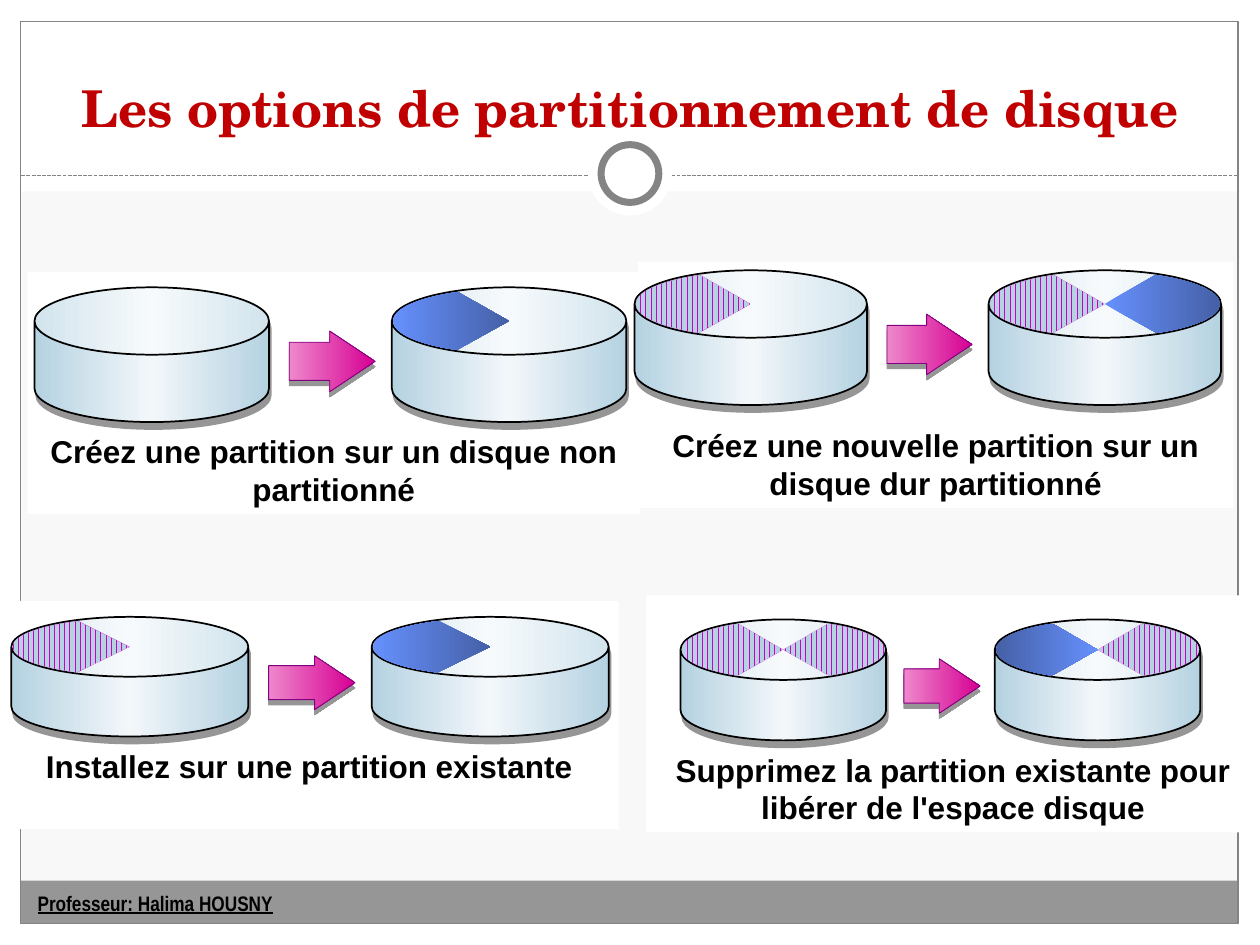
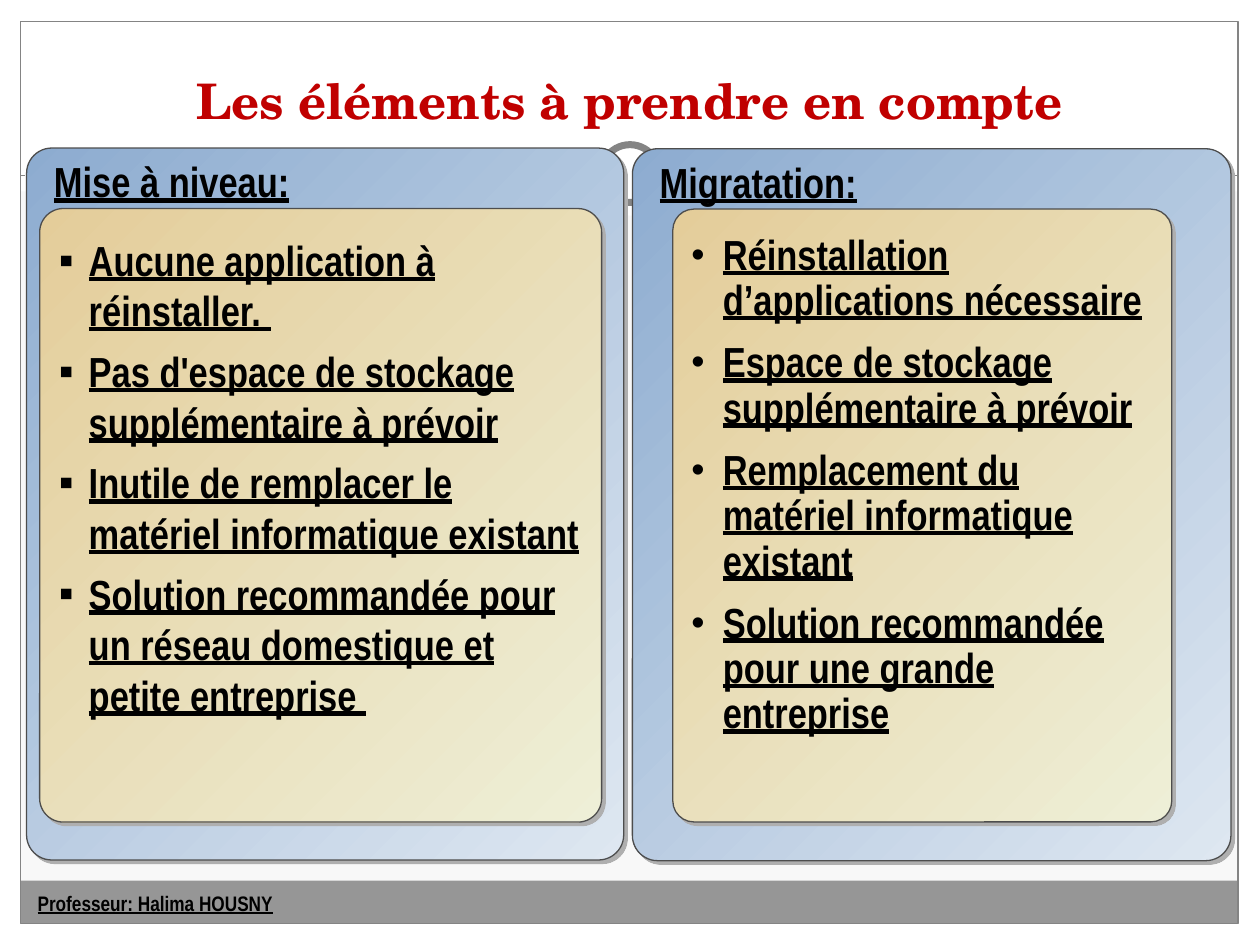
from dataclasses import dataclass
from typing import Any

from lxml import etree
from pptx import Presentation
from pptx import util as u
from pptx.dml import color
from pptx.enum import dml, shapes, text
from pptx.oxml import ns

KIND = shapes.MSO_SHAPE
Stops = tuple[tuple[int, str], ...]


@dataclass(frozen=True)
class Theme:
    page: str = "F8F8F8"
    white: str = "FFFFFF"
    black: str = "000000"
    rule: str = "848484"
    band: str = "969696"
    title: str = "C00000"
    arrow_edge: str = "800080"
    card_edge: str = "4D4D4D"
    card_shade: str = "AFAFAF"
    stripe: str = "B5D2E1"
    stripe_back: str = "CC00CC"
    disk: Stops = ((0, "B5D2E1"), (50, "F3F7FA"), (100, "B5D2E1"))
    arrow: Stops = ((0, "EE88CB"), (100, "D60093"))
    to_dark: Stops = ((0, "6590FD"), (100, "4560A6"))
    to_light: Stops = ((0, "4560A6"), (100, "6590FD"))
    outer_card: Stops = ((0, "8DACD0"), (100, "DEE7F1"))
    inner_card: Stops = ((0, "E4CD9A"), (100, "EEEFD7"))
    title_font: str = "TeX Gyre Schola"
    caption_font: str = "Arial"
    list_font: str = "Arial Narrow"
    caption_size: float = 18
    list_size: float = 24
    footer_size: float = 12


THEME = Theme()


@dataclass(frozen=True)
class Box:
    left: float
    top: float
    width: float
    height: float

    def emu(self) -> tuple[int, ...]:
        return tuple(u.Pt(v) for v in (self.left, self.top, self.width, self.height))


@dataclass(frozen=True)
class Shade:
    tint: str
    distance: float
    angle: int


@dataclass(frozen=True)
class Wedge:
    disk: int
    side: int
    stops: Stops | None = None


@dataclass(frozen=True)
class Option:
    caption: str
    panel: Box
    before: Box
    after_left: float
    wedges: tuple[Wedge, ...]
    bottom: float = 3.6


@dataclass(frozen=True)
class Card:
    heading: str
    outer: Box
    inner: Box
    points: tuple[str, ...]
    bullet: str
    bullet_size: int
    indent: float
    spacing: dict[str, Any]


DISK_SHADE = Shade(THEME.band, 4.1, 76)
ARROW_SHADE = Shade(THEME.band, 3, 90)
CARD_SHADE = Shade(THEME.card_shade, 2.8, 45)
BOLD = {"bold": True}
LISTED = {"bold": True, "underline": True}
RIM = ((0.45, 1), (0.78, 0.8), (1, 0.43), (1, 0), (1, -0.43), (0.78, -0.8), (0.44, -1))

OPTIONS = (
    Option("Créez une partition sur un disque non partitionné",
           Box(15.8, 155.5, 350, 138.2), Box(19.7, 164.2, 134, 77), 223.9,
           (Wedge(1, -1, THEME.to_dark),)),
    Option("Créez une nouvelle partition sur un disque dur partitionné",
           Box(364.5, 149.8, 340.4, 140.4), Box(362.6, 154.5, 132.8, 77), 564.9,
           (Wedge(1, -1), Wedge(0, -1), Wedge(1, 1, THEME.to_dark))),
    Option("Installez sur une partition existante",
           Box(0, 343.4, 353.5, 130.3), Box(6.5, 352.5, 135.4, 68.4), 212.4,
           (Wedge(1, -1, THEME.to_dark), Wedge(0, -1)), 25),
    Option("Supprimez la partition existante pour libérer de l'espace disque",
           Box(369.2, 340.2, 350.8, 135.4), Box(388.9, 354, 117.4, 69.1), 568.5,
           (Wedge(1, -1, THEME.to_light), Wedge(1, 1), Wedge(0, 1), Wedge(0, -1))),
)

CARDS = (
    Card("Mise à niveau:", Box(15.2, 84.6, 341.2, 406.8), Box(22.7, 119.2, 321.1, 350.6),
         ("Aucune application à réinstaller. ",
          "Pas d'espace de stockage supplémentaire à prévoir",
          "Inutile de remplacer le matériel informatique existant",
          "Solution recommandée pour un réseau domestique et petite entreprise "),
         "▪", 100, 17, {"space_after": u.Pt(6)}),
    Card("Migratation:", Box(361.4, 85, 342, 406.8), Box(384.5, 119.5, 285.1, 350.2),
         ("Réinstallation d’applications nécessaire",
          "Espace de stockage supplémentaire à prévoir",
          "Remplacement du matériel informatique existant",
          "Solution recommandée pour une grande entreprise"),
         "•", 90, 18, {"line_spacing": 0.9, "space_after": u.Pt(9.6)}),
)


def rgb(value: str) -> color.RGBColor:
    return color.RGBColor.from_string(value)


def assign(target: Any, values: dict[str, Any]) -> None:
    for name, value in values.items():
        setattr(target, name, value)


def child(parent: Any, tag: str, **attributes: Any) -> Any:
    return etree.SubElement(parent, ns.qn(tag), {k: str(v) for k, v in attributes.items()})


def paint(shape: Any, fill: str | Stops | None, angle: int = 0) -> None:
    if fill is None:
        shape.fill.background()
    elif isinstance(fill, str):
        shape.fill.solid()
        shape.fill.fore_color.rgb = rgb(fill)
    else:
        shape.fill.gradient()
        shape.fill.gradient_angle = -angle % 360
        stops = shape.element.spPr.find(".//" + ns.qn("a:gsLst"))
        for stop in list(stops):
            stops.remove(stop)
        for position, tint in fill:
            child(child(stops, "a:gs", pos=position * 1000), "a:srgbClr", val=tint)


def outline(shape: Any, tint: str | None, width: float = 0.75) -> None:
    if tint is None:
        shape.line.fill.background()
    else:
        shape.line.color.rgb = rgb(tint)
        shape.line.width = u.Pt(width)


def cast(shape: Any, shade: Shade) -> None:
    effects = shape.element.spPr.find(ns.qn("a:effectLst"))
    shadow = child(effects, "a:outerShdw", dist=u.Pt(shade.distance),
                   dir=shade.angle * 60000, algn="ctr", rotWithShape=0)
    child(shadow, "a:srgbClr", val=shade.tint)


def draw(target: Any, kind: Any, box: Box, fill: str | Stops | None, edge: str | None = None,
         width: float = 0.75, angle: int = 0, shade: Shade | None = None,
         adjust: tuple[float, ...] = ()) -> Any:
    shape = target.add_shape(kind, *box.emu())
    shape.shadow.inherit = False
    for index, value in enumerate(adjust):
        shape.adjustments[index] = value
    paint(shape, fill, angle)
    outline(shape, edge, width)
    if shade:
        cast(shape, shade)
    return shape


def write(paragraph: Any, words: str, font: str, size: float, tint: str,
          style: dict[str, Any], layout: dict[str, Any]) -> None:
    run = paragraph.add_run()
    run.text = words
    assign(run.font, {"name": font, "size": u.Pt(size), **style})
    run.font.color.rgb = rgb(tint)
    assign(paragraph, layout)


def add_frame(slide: Any) -> None:
    layout = slide.slide_layout
    for spare in list(layout.placeholders):
        if spare.placeholder_format.type != shapes.PP_PLACEHOLDER.TITLE:
            spare.element.getparent().remove(spare.element)
    paint(layout.background, THEME.page)

    target = slide.shapes
    parts = [draw(target, KIND.RECTANGLE, Box(*edges), THEME.white) for edges in (
        (0, 527.8, 720, 12.2), (0, 0, 720, 109.4), (0, 0, 12, 540), (707.8, 0, 12.2, 540))]
    parts.append(draw(target, KIND.RECTANGLE, Box(11.8, 503.3, 695.5, 24.5), THEME.band))
    parts.append(draw(target, KIND.RECTANGLE, Box(11.9, 12.2, 695.5, 515.5), None, THEME.rule))

    divider = target.add_connector(shapes.MSO_CONNECTOR.STRAIGHT, u.Pt(12.2), u.Pt(100.5),
                                   u.Pt(707.8), u.Pt(100.5))
    outline(divider, THEME.rule)
    divider.line.dash_style = dml.MSO_LINE.SQUARE_DOT
    child(divider.element.spPr, "a:effectLst")
    parts.append(divider)

    parts.append(draw(target, KIND.OVAL, Box(336, 75.2, 48, 48), THEME.white))
    parts.append(draw(target, KIND.OVAL, Box(343.5, 82.7, 33, 33), THEME.white, THEME.rule, 4))

    teacher = target.add_textbox(*Box(14.4, 505.4, 154, 22.3).emu())
    teacher.text_frame.word_wrap = True
    write(teacher.text_frame.paragraphs[0], "Professeur: Halima HOUSNY", THEME.list_font,
          THEME.footer_size, THEME.black, LISTED, {})
    parts.append(teacher)
    for part in parts:
        layout.shapes.element.append(part.element)


def add_title(slide: Any, words: str, box: Box, size: float) -> None:
    title = slide.shapes.title
    assign(title, dict(zip(("left", "top", "width", "height"), box.emu())))
    assign(title.text_frame, {"vertical_anchor": text.MSO_ANCHOR.BOTTOM, "word_wrap": True,
                              "auto_size": text.MSO_AUTO_SIZE.NONE})
    write(title.text_frame.paragraphs[0], words, THEME.title_font, size, THEME.title, BOLD,
          {"alignment": text.PP_ALIGN.CENTER})


def curve(sector: Any) -> None:
    outline_path = sector.element.spPr.find(".//" + ns.qn("a:path"))
    straights = outline_path.findall(ns.qn("a:lnTo"))
    for first in (0, 3):
        bend = etree.Element(ns.qn("a:cubicBezTo"))
        straights[first].addprevious(bend)
        for straight in straights[first:first + 3]:
            bend.append(straight[0])
            outline_path.remove(straight)


def add_wedge(target: Any, disk: Box, wedge: Wedge) -> None:
    center_x, center_y = disk.left + disk.width / 2, disk.top + disk.height / 4
    reach, rise = wedge.side * 0.495 * disk.width, 0.215 * disk.height
    rim = [(u.Pt(center_x + reach * x), u.Pt(center_y + rise * y)) for x, y in RIM]
    builder = target.build_freeform(*rim[0])
    builder.add_line_segments([*rim[1:], (u.Pt(center_x), u.Pt(center_y))], close=True)
    sector = builder.convert_to_shape()
    curve(sector)
    sector.shadow.inherit = False
    outline(sector, None)
    if wedge.stops:
        paint(sector, wedge.stops)
    else:
        sector.fill.patterned()
        sector.fill.pattern = dml.MSO_PATTERN.DARK_VERTICAL
        sector.fill.fore_color.rgb = rgb(THEME.stripe)
        sector.fill.back_color.rgb = rgb(THEME.stripe_back)


def add_option(slide: Any, option: Option) -> None:
    target = slide.shapes.add_group_shape().shapes
    panel = draw(target, KIND.RECTANGLE, option.panel, THEME.white)
    assign(panel.text_frame, {"vertical_anchor": text.MSO_ANCHOR.BOTTOM, "word_wrap": True,
                              "margin_bottom": u.Pt(option.bottom)})
    write(panel.text_frame.paragraphs[0], option.caption, THEME.caption_font,
          THEME.caption_size, THEME.black, BOLD, {"alignment": text.PP_ALIGN.CENTER})

    first = option.before
    disks = (first, Box(option.after_left, first.top, first.width, first.height))
    for disk in disks:
        draw(target, KIND.CAN, disk, THEME.disk, THEME.black, 1, shade=DISK_SHADE, adjust=(0.5,))
    for wedge in option.wedges:
        add_wedge(target, disks[wedge.disk], wedge)

    start = first.left + first.width
    gap = option.after_left - start
    arrow = Box(start + 0.165 * gap, first.top + 0.325 * first.height,
                0.7 * gap, 0.45 * first.height)
    draw(target, KIND.RIGHT_ARROW, arrow, THEME.arrow, THEME.arrow_edge, 0.5,
         shade=ARROW_SHADE, adjust=(0.63, 0.75))


def add_card(slide: Any, card: Card) -> None:
    outer, inner = (draw(slide.shapes, KIND.ROUNDED_RECTANGLE, box, stops, THEME.card_edge,
                         angle=45, shade=CARD_SHADE, adjust=(0.042,))
                    for box, stops in ((card.outer, THEME.outer_card),
                                       (card.inner, THEME.inner_card)))
    left = {"alignment": text.PP_ALIGN.LEFT}
    for shape in (outer, inner):
        assign(shape.text_frame, {"vertical_anchor": text.MSO_ANCHOR.TOP, "word_wrap": True})
    heading = outer.text_frame.paragraphs[0]
    heading._p.get_or_add_pPr().set("marL", str(u.Pt(4.3)))
    write(heading, card.heading, THEME.list_font, THEME.list_size, THEME.black, LISTED,
          {**left, "line_spacing": 0.9})

    frame = inner.text_frame
    assign(frame, {"margin_top": u.Pt(10.8), "margin_bottom": u.Pt(10.8),
                   "margin_right": u.Pt(6)})
    for index, point in enumerate(card.points):
        paragraph = frame.add_paragraph() if index else frame.paragraphs[0]
        properties = paragraph._p.get_or_add_pPr()
        for name, value in {"marL": card.indent, "indent": -card.indent}.items():
            properties.set(name, str(u.Pt(value)))
        child(child(properties, "a:buClr"), "a:srgbClr", val=THEME.black)
        child(properties, "a:buSzPct", val=card.bullet_size * 1000)
        child(properties, "a:buFont", typeface=THEME.caption_font)
        child(properties, "a:buChar", char=card.bullet)
        write(paragraph, point, THEME.list_font, THEME.list_size, THEME.black, LISTED,
              {**left, **card.spacing})


def main() -> None:
    deck = Presentation()
    assign(deck, {"slide_width": u.Pt(720), "slide_height": u.Pt(540)})
    title_only = deck.slide_layouts[5]

    options = deck.slides.add_slide(title_only)
    add_frame(options)
    add_title(options, "Les options de partitionnement de disque",
              Box(14.8, 15.8, 691.2, 66.4), 29)
    for option in OPTIONS:
        add_option(options, option)

    choices = deck.slides.add_slide(title_only)
    add_title(choices, "Les éléments à prendre en compte", Box(23.8, 18, 671.8, 59.8), 28)
    for card in CARDS:
        add_card(choices, card)

    deck.save("out.pptx")


if __name__ == "__main__":
    main()
